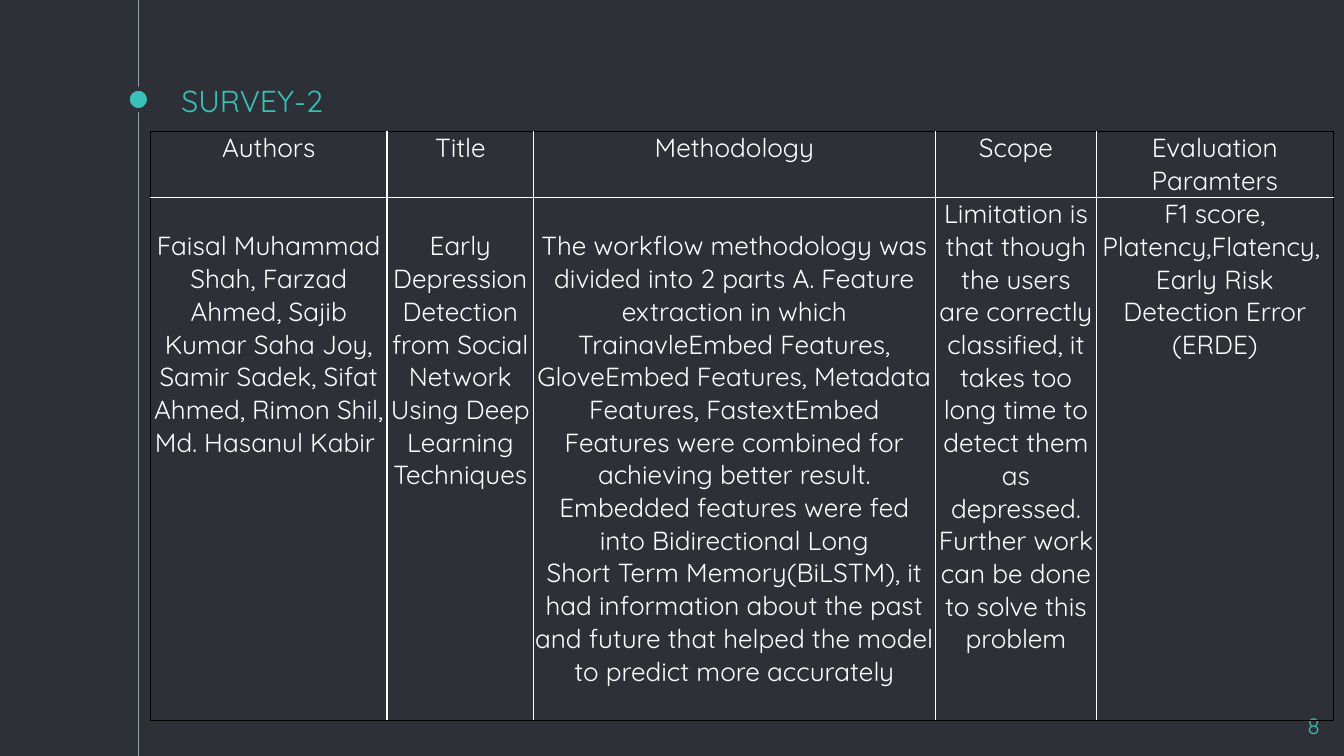
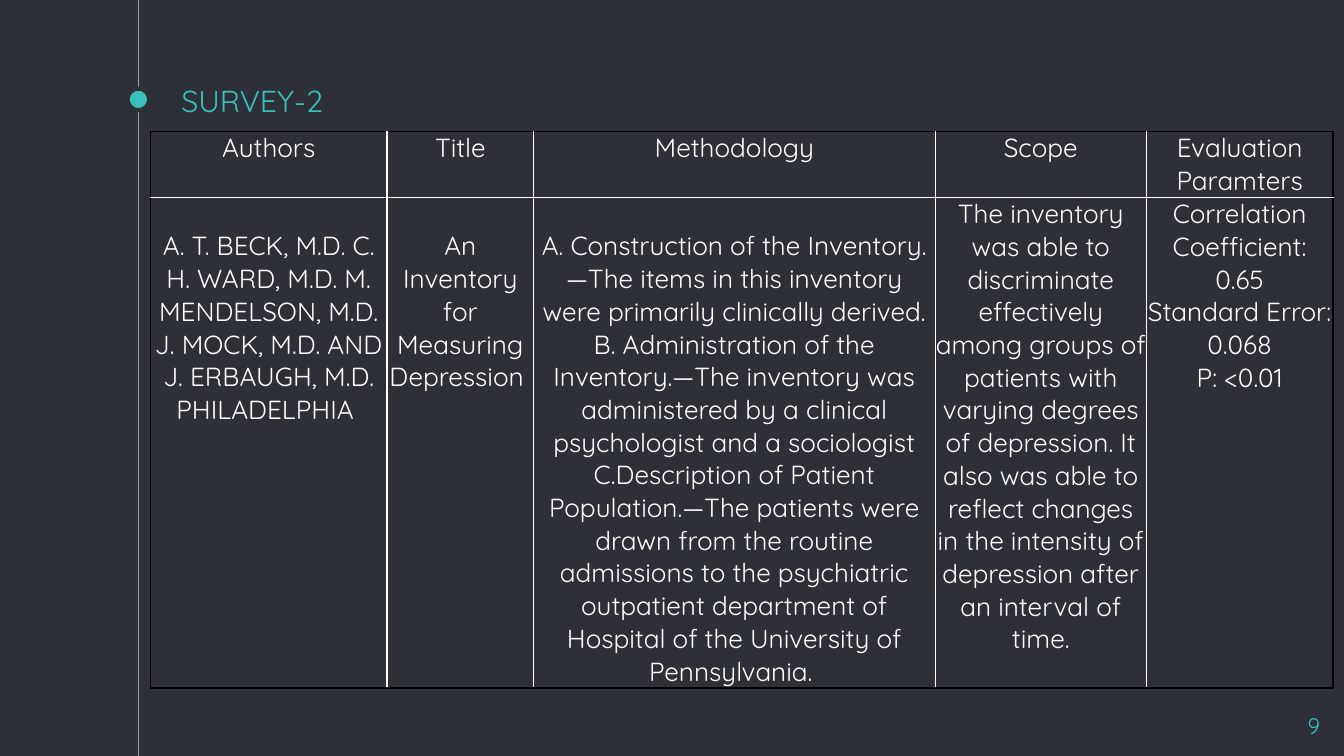
from dataclasses import dataclass

from lxml import etree
from pptx import Presentation
from pptx.dml.color import RGBColor
from pptx.enum.shapes import MSO_CONNECTOR, MSO_SHAPE
from pptx.enum.text import MSO_ANCHOR, MSO_AUTO_SIZE, PP_ALIGN
from pptx.oxml.ns import qn
from pptx.util import Inches, Pt

LINE = MSO_CONNECTOR.STRAIGHT
OVAL = MSO_SHAPE.OVAL
TOP, BOTTOM = MSO_ANCHOR.TOP, MSO_ANCHOR.BOTTOM
LEFT, CENTER, RIGHT = PP_ALIGN.LEFT, PP_ALIGN.CENTER, PP_ALIGN.RIGHT
FIXED = MSO_AUTO_SIZE.NONE

DARK = RGBColor(0x2E, 0x30, 0x37)
TEAL = RGBColor(0x39, 0xC0, 0xBA)
GRAY = RGBColor(0x99, 0x9F, 0xA9)
WHITE = RGBColor(0xFF, 0xFF, 0xFF)
BLACK = RGBColor(0x00, 0x00, 0x00)
FONT = "Quicksand"

WIDE = Inches(10)
HIGH = WIDE * 9 // 16
RAIL = 1.03
DOT = 0.16
PAD = Inches(0.1)
HEAD = 0.49
DROP = 0.24
HEADERS = ("Authors", "Title", "Methodology", "Scope", "Evaluation Paramters")
LOWERED = 3


@dataclass(frozen=True)
class Survey:
    title: str
    number: int
    widths: tuple[float, ...]
    height: float
    body: tuple[tuple[str, ...], ...]


SURVEYS = (
    Survey(
        "SURVEY-2", 8, (1.76, 1.09, 2.99, 1.2, 1.76), 3.89,
        (
            ("Faisal Muhammad Shah, Farzad Ahmed, Sajib Kumar Saha Joy, "
             "Samir Sadek, Sifat Ahmed, Rimon Shil, Md. Hasanul Kabir ",),
            ("Early Depression Detection from Social Network",
             "Using Deep Learning Techniques"),
            ("The workflow methodology was divided into 2 parts A. Feature "
             "extraction in which TrainavleEmbed Features, GloveEmbed Features, "
             "Metadata Features, FastextEmbed Features were combined for "
             "achieving better result. Embedded features were fed into "
             "Bidirectional Long",
             "Short Term Memory(BiLSTM), it had information about the past and "
             "future that helped the model to predict more accurately"),
            ("Limitation is that though the users",
             "are correctly classified, it takes too long time to detect them",
             "as depressed. Further work can be done to solve this problem"),
            ("F1 score, Platency,Flatency, ",
             "Early Risk Detection Error (ERDE)"),
        ),
    ),
    Survey(
        "SURVEY-2", 9, (1.76, 1.09, 2.99, 1.57, 1.39), 3.65,
        (
            ("A. T. BECK, M.D. C. H. WARD, M.D. M. MENDELSON, M.D. "
             "J. MOCK, M.D. AND J. ERBAUGH, M.D. PHILADELPHIA ",),
            ("An Inventory for Measuring Depression ",),
            ("A. Construction of the Inventory.—The items in this inventory "
             "were primarily clinically derived.",
             "B. Administration of the Inventory.—The inventory was "
             "administered by a clinical psychologist and a sociologist",
             "C.Description of Patient Population.—The patients were drawn from "
             "the routine admissions to the psychiatric outpatient department "
             "of Hospital of the University of Pennsylvania. "),
            ("The inventory was able to discriminate effectively among groups "
             "of patients with varying degrees of depression. It also was able "
             "to reflect changes in the intensity of depression after an "
             "interval of time.",),
            ("Correlation Coefficient:", "0.65", "Standard Error:", "0.068",
             "P: <0.01"),
        ),
    ),
)


def write(frame, lines: tuple[str, ...], size: float, color: RGBColor, align) -> None:
    frame.word_wrap = True
    for i, line in enumerate(lines):
        para = frame.paragraphs[0] if i == 0 else frame.add_paragraph()
        para.alignment = align
        run = para.add_run()
        run.text = line
        run.font.size = Pt(size)
        run.font.name = FONT
        run.font.color.rgb = color


def place(shape, left: float, top: float, width: float, height: float, anchor) -> None:
    shape.left, shape.top = Inches(left), Inches(top)
    shape.width, shape.height = Inches(width), Inches(height)
    frame = shape.text_frame
    frame.auto_size = FIXED
    frame.vertical_anchor = anchor
    frame.margin_left = frame.margin_right = PAD
    frame.margin_top = frame.margin_bottom = PAD


def add_rail(slide) -> None:
    rail = slide.shapes.add_connector(
        LINE, Inches(RAIL), Inches(0), Inches(RAIL), HIGH)
    rail.line.color.rgb = GRAY
    rail.line.width = Pt(0.75)
    etree.SubElement(rail._element.spPr, qn("a:effectLst"))
    dot = slide.shapes.add_shape(
        OVAL, Inches(RAIL - DOT / 2), Inches(0.66), Inches(DOT), Inches(DOT))
    dot.shadow.inherit = False
    dot.fill.solid()
    dot.fill.fore_color.rgb = TEAL
    dot.line.color.rgb = DARK
    dot.line.width = Pt(2.25)


def add_edge(cell, side: str, color: RGBColor) -> None:
    props = cell._tc.get_or_add_tcPr()
    edge = etree.SubElement(props, qn(f"a:ln{side}"), w=str(Pt(0.75)))
    fill = etree.SubElement(edge, qn("a:solidFill"))
    etree.SubElement(fill, qn("a:srgbClr"), val=str(color))


def add_grid(slide, survey: Survey) -> None:
    rows = (tuple((name,) for name in HEADERS), survey.body)
    last = len(HEADERS) - 1
    grid = slide.shapes.add_table(
        len(rows), len(HEADERS), Inches(1.12), Inches(0.98),
        Inches(sum(survey.widths)), Inches(HEAD + survey.height)).table
    grid.first_row = grid.horz_banding = False
    for col, width in zip(grid.columns, survey.widths):
        col.width = Inches(width)
    for row, height in zip(grid.rows, (HEAD, survey.height)):
        row.height = Inches(height)
    for r, row in enumerate(rows):
        for c, lines in enumerate(row):
            cell = grid.cell(r, c)
            cell.margin_left = cell.margin_right = cell.margin_bottom = Inches(0)
            cell.margin_top = Inches(DROP if r and c < LOWERED else 0)
            outer = {"L": c == 0, "R": c == last, "T": r == 0, "B": r == 1}
            for side, edge in outer.items():
                add_edge(cell, side, BLACK if edge else WHITE)
            cell.fill.background()
            write(cell.text_frame, lines, 14, WHITE, CENTER)


def add_survey(deck, survey: Survey) -> None:
    slide = deck.slides.add_slide(deck.slide_layouts[5])
    add_rail(slide)
    title = slide.shapes.title
    place(title, 1.25, 0.5, 7.5, 0.48, BOTTOM)
    write(title.text_frame, (survey.title,), 16.2, TEAL, LEFT)
    page = slide.shapes.add_textbox(0, 0, 0, 0)
    place(page, 9.61, 5.2, 0.31, 0.39, TOP)
    write(page.text_frame, (str(survey.number),), 12, TEAL, RIGHT)
    add_grid(slide, survey)


def main() -> None:
    deck = Presentation()
    deck.slide_width, deck.slide_height = WIDE, HIGH
    back = deck.slide_master.background.fill
    back.solid()
    back.fore_color.rgb = DARK
    for survey in SURVEYS:
        add_survey(deck, survey)
    deck.save("out.pptx")


if __name__ == "__main__":
    main()
